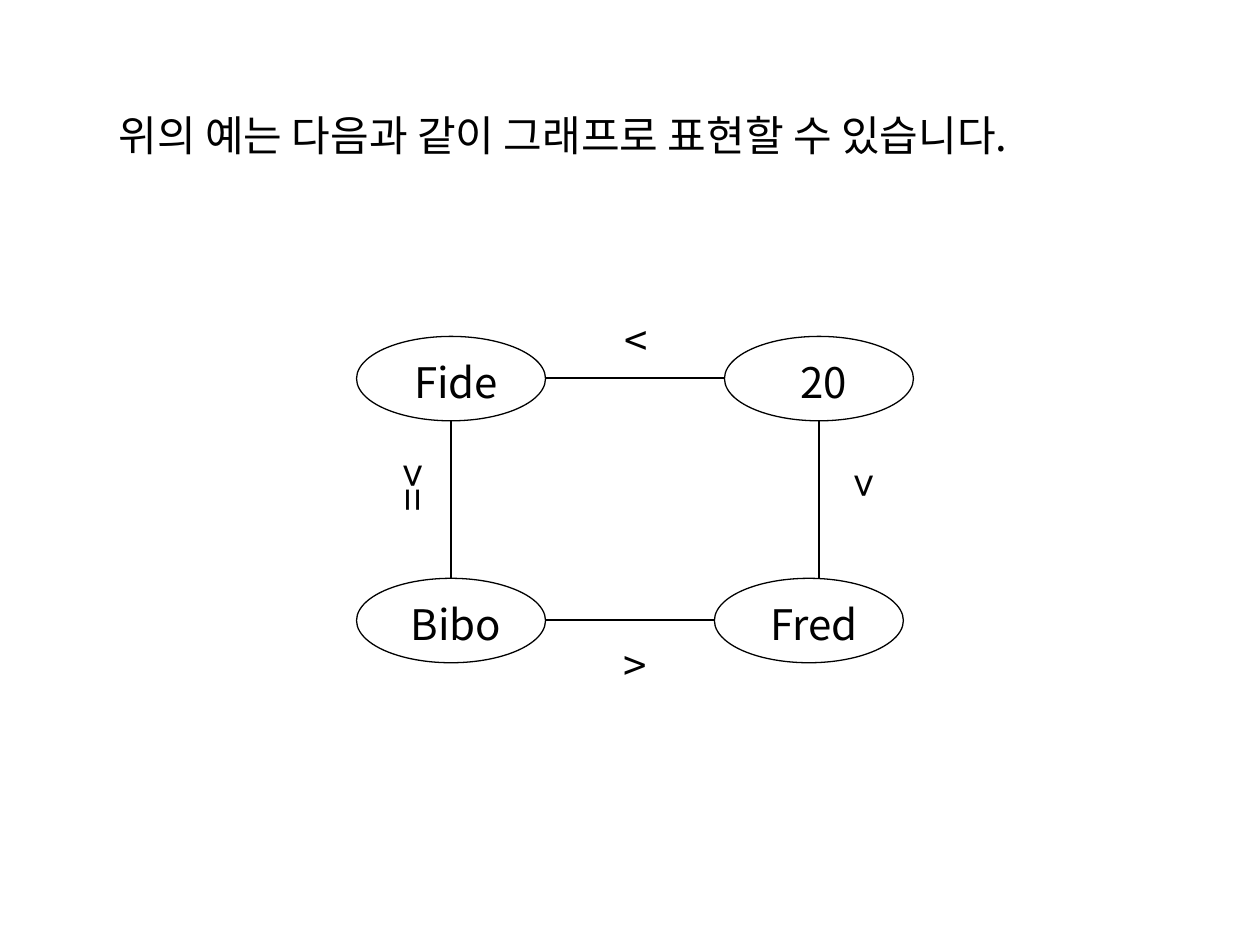
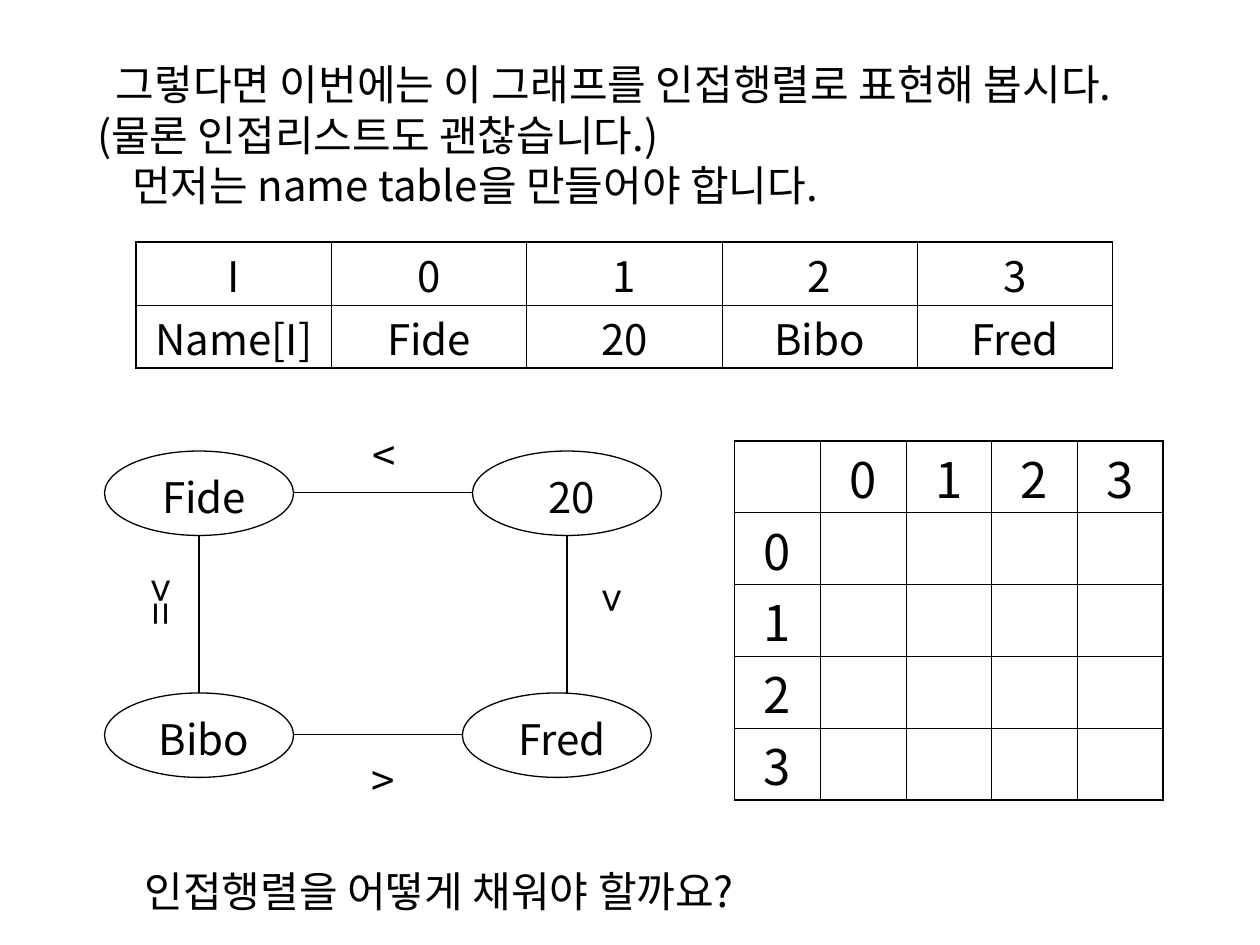
from lxml.etree import SubElement
from pptx import Presentation
from pptx.dml.color import RGBColor
from pptx.enum.shapes import MSO_CONNECTOR as Connector
from pptx.enum.shapes import MSO_SHAPE as Shape
from pptx.enum.text import MSO_ANCHOR as Anchor
from pptx.enum.text import MSO_AUTO_SIZE as AutoSize
from pptx.enum.text import PP_ALIGN as Align
from pptx.oxml.ns import qn
from pptx.util import Inches, Pt

BLACK = RGBColor(0x00, 0x00, 0x00)
FONT = "Noto Sans CJK KR"
TEXT_SIZE = 24
LINE_FACTOR = 1.2
GRAPH_LINE = 0.75
GRID_INNER, GRID_OUTER = 0.45, 1.08

BOX_FORMAT = {
    "word_wrap": True,
    "auto_size": AutoSize.NONE,
    "vertical_anchor": Anchor.MIDDLE,
    "margin_left": Inches(0.1),
    "margin_right": Inches(0.1),
    "margin_top": Inches(0.1),
    "margin_bottom": Inches(0.05),
}
NODE_FORMAT = BOX_FORMAT | {
    "margin_left": Inches(0.08),
    "margin_right": 0,
    "margin_top": Inches(0.05),
    "margin_bottom": 0,
}
VERTICAL_FORMAT = BOX_FORMAT | {
    "margin_left": Inches(0.05),
    "margin_right": Inches(0.05),
    "margin_bottom": Inches(0.1),
}
CELL_FORMAT = {
    "vertical_anchor": Anchor.TOP,
    "margin_left": Inches(0.1),
    "margin_right": Inches(0.1),
    "margin_top": Inches(0.1),
    "margin_bottom": 0,
}

NODE_SIZE = (1.5, 0.67)
NODES = [("Fide", 0, 0), ("20", 2.92, 0), ("Bibo", 0, 1.92), ("Fred", 2.84, 1.92)]
EDGES = [
    ((1.5, 0.33), (2.92, 0.33)),
    ((0.75, 0.67), (0.75, 1.92)),
    ((1.5, 2.25), (2.84, 2.25)),
    ((3.67, 0.67), (3.67, 1.92)),
]
RELATIONS = [
    ("<", 1.84, -0.25, 0.75, 0.5, False),
    (">=", 0.16, 0.92, 0.6, 0.67, True),
    (">", 1.92, 2.33, 0.58, 0.5, False),
    (">", 3.74, 1, 0.6, 0.67, True),
]


def apply_format(target, values):
    """Set each named attribute of the target."""
    for name, value in values.items():
        setattr(target, name, value)


def inches(*lengths):
    """Turn plain numbers into lengths."""
    return [Inches(length) for length in lengths]


def write(frame, lines, align=Align.CENTER, size=TEXT_SIZE):
    """Fill a text frame from (text, first-line indent) pairs."""
    for number, (text, indent) in enumerate(lines):
        para = frame.add_paragraph() if number else frame.paragraphs[0]
        apply_format(para, {
            "alignment": align,
            "space_before": Pt(0),
            "line_spacing": Pt(size * LINE_FACTOR),
        })
        if indent:
            para._p.get_or_add_pPr().set("indent", str(Inches(indent)))
        span = para.add_run()
        span.text = text
        apply_format(span.font, {"name": FONT, "size": Pt(size), "bold": False})
        span.font.color.rgb = BLACK
        SubElement(span._r.get_or_add_rPr(), qn("a:ea"), typeface=FONT)


def add_title(page, lines):
    """Place and fill the slide title."""
    title = page.shapes.title
    title.left, title.top, title.width, title.height = inches(0.67, 0.58, 8.58, 0.92)
    apply_format(title.text_frame, BOX_FORMAT)
    write(title.text_frame, lines, Align.LEFT)


def add_text(shapes, area, lines, align=Align.CENTER, vertical=False):
    """Add a text box, with East Asian vertical text if asked."""
    frame = shapes.add_textbox(*inches(*area)).text_frame
    apply_format(frame, VERTICAL_FORMAT if vertical else BOX_FORMAT)
    if vertical:
        frame._txBody.bodyPr.set("vert", "eaVert")
    write(frame, lines, align)


def outline(shape):
    """Give a shape or connector the graph's line."""
    shape.line.color.rgb = BLACK
    shape.line.width = Pt(GRAPH_LINE)


def add_node(shapes, left, top, name):
    """Add a named ellipse."""
    node = shapes.add_shape(Shape.OVAL, *inches(left, top, *NODE_SIZE))
    node.shadow.inherit = False
    node.fill.background()
    outline(node)
    apply_format(node.text_frame, NODE_FORMAT)
    write(node.text_frame, [(name, 0)])


def add_edge(shapes, start, end):
    """Add a straight line between two points."""
    edge = shapes.add_connector(Connector.STRAIGHT, *inches(*start, *end))
    outline(edge)
    SubElement(edge._element.spPr, qn("a:effectLst"))


def add_graph(page, left, top):
    """Add the relation graph as one group."""
    shapes = page.shapes.add_group_shape().shapes
    for name, x, y in NODES:
        add_node(shapes, left + x, top + y, name)
    for (x1, y1), (x2, y2) in EDGES:
        add_edge(shapes, (left + x1, top + y1), (left + x2, top + y2))
    for sign, x, y, width, height, vertical in RELATIONS:
        area = (left + x, top + y, width, height)
        add_text(shapes, area, [(sign, 0)], vertical=vertical)


def add_borders(cell, outer_sides):
    """Draw the four cell borders, heavier on the table's edge."""
    properties = cell._tc.get_or_add_tcPr()
    for side in "LRTB":
        width = Pt(GRID_OUTER if side in outer_sides else GRID_INNER)
        line = SubElement(properties, qn(f"a:ln{side}"), w=str(width))
        fill = SubElement(line, qn("a:solidFill"))
        SubElement(fill, qn("a:srgbClr"), val=str(BLACK))


def add_grid(page, left, top, column_width, row_height, rows, size=TEXT_SIZE):
    """Add a plain ruled table."""
    row_count, column_count = len(rows), len(rows[0])
    table = page.shapes.add_table(row_count, column_count, *inches(
        left, top, column_width * column_count, row_height * row_count)).table
    apply_format(table, {"first_row": False, "horz_banding": False})
    for column in table.columns:
        column.width = Inches(column_width)
    for r, values in enumerate(rows):
        table.rows[r].height = Inches(row_height)
        for c, value in enumerate(values):
            cell = table.cell(r, c)
            edges = {"L": c == 0, "R": c == column_count - 1,
                     "T": r == 0, "B": r == row_count - 1}
            add_borders(cell, [side for side, outer in edges.items() if outer])
            cell.fill.background()
            apply_format(cell, CELL_FORMAT)
            if value:
                write(cell.text_frame, [(value, 0)], size=size)


def build_graph_page(page):
    """Build the slide that shows the graph."""
    add_title(page, [("위의 예는 다음과 같이 그래프로 표현할 수 있습니다.", 0.17)])
    add_graph(page, 2.83, 2.67)


def build_matrix_page(page):
    """Build the slide with name table, graph and empty matrix."""
    add_title(page, [
        ("그렇다면 이번에는 이 그래프를 인접행렬로 표현해 봅시다. (물론 인접리스트도 괜찮습니다.)", 0.15),
        ("먼저는 name table을 만들어야 합니다.", 0.28),
    ])
    add_graph(page, 0.83, 3.58)
    names = [name for name, _, _ in NODES]
    indexes = [str(index) for index in range(len(names))]
    add_grid(page, 1.08, 1.92, 1.55, 0.5, [["I", *indexes], ["Name[I]", *names]])
    matrix = [["", *indexes]] + [[index] + [""] * len(indexes) for index in indexes]
    add_grid(page, 5.83, 3.5, 0.68, 0.57, matrix, size=28)
    add_text(page.shapes, (0.83, 6.75, 8.58, 0.58),
             [("인접행렬을 어떻게 채워야 할까요?", 0.22)], Align.LEFT)


def main():
    """Build and save the deck."""
    deck = Presentation()
    deck.slide_width, deck.slide_height = inches(10, 7.5)
    for build in (build_graph_page, build_matrix_page):
        build(deck.slides.add_slide(deck.slide_layouts[5]))
    deck.save("out.pptx")


if __name__ == "__main__":
    main()
